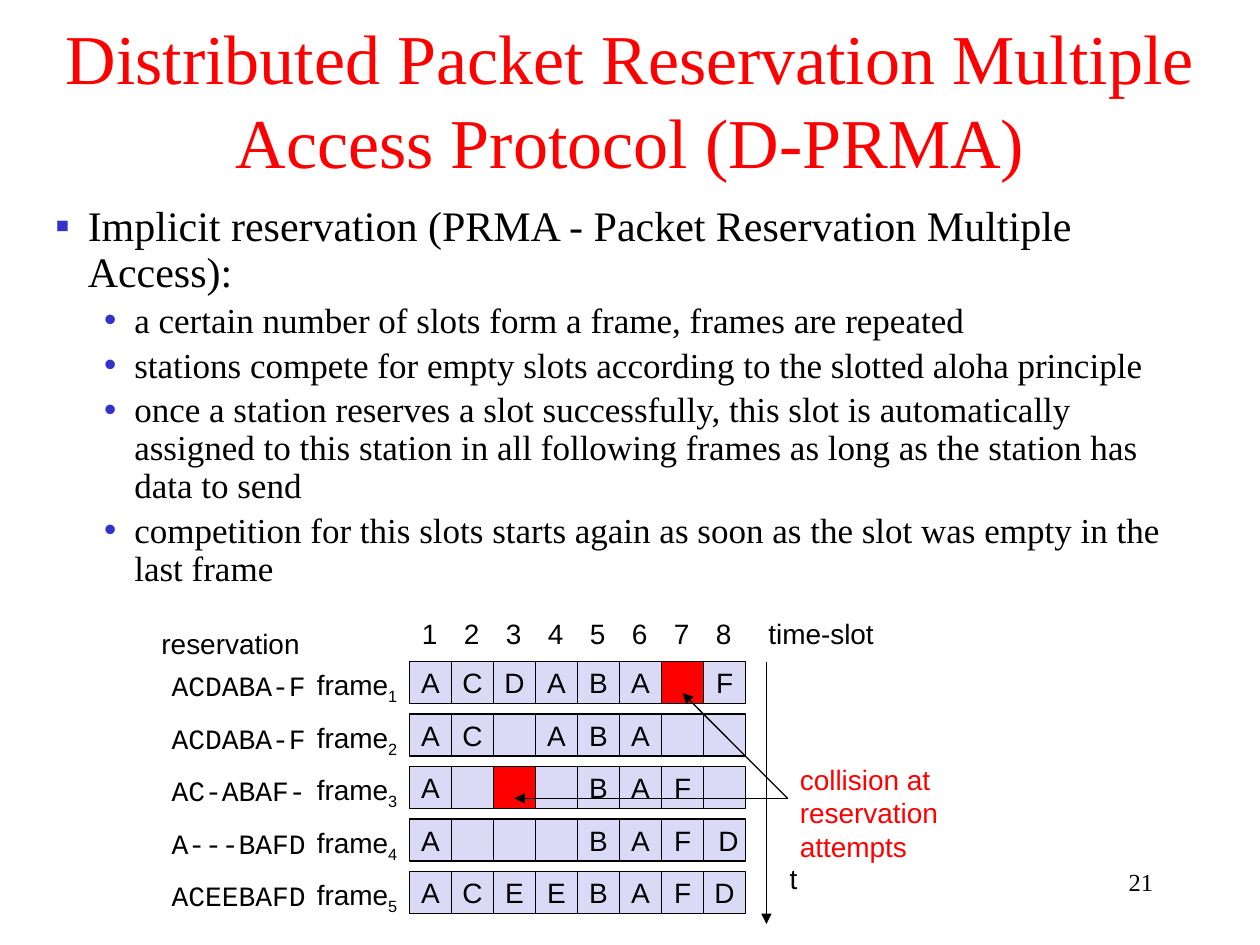
from lxml import etree
from pptx import Presentation
from pptx.dml.color import RGBColor
from pptx.enum.shapes import MSO_CONNECTOR, MSO_SHAPE
from pptx.enum.text import MSO_ANCHOR as ANCHOR, PP_ALIGN as ALIGN
from pptx.oxml.ns import qn
from pptx.util import Pt

BLACK = RGBColor(0x00, 0x00, 0x00)
RED = RGBColor(0xFF, 0x00, 0x00)
LAVENDER = RGBColor(0xDA, 0xDA, 0xF6)
BULLET_BLUE = RGBColor(0x33, 0x33, 0xCC)
SERIF, SANS, MONO = "Times New Roman", "Arial", "Courier New"

SLOT = 24
GRID_LEFT, GRID_TOP, ROW_PITCH = 234, 378, 30
FRAMES = [  # reservation, then the slots; * is a collision
    ("ACDABA-F", "A,C,D,A,B,A,*,F"),
    ("ACDABA-F", "A,C,,A,B,A,,"),
    ("AC-ABAF-", "A,,*,,B,A,F,"),
    ("A---BAFD", "A,,,,B,A,F, D"),
    ("ACEEBAFD", "A,C,E,E,B,A,F,D"),
]
BULLETS = [
    (0, "Implicit reservation (PRMA - Packet Reservation Multiple Access):"),
    (1, "a certain number of slots form a frame, frames are repeated"),
    (1, "stations compete for empty slots according to the slotted aloha principle"),
    (1, "once a station reserves a slot successfully, this slot is automatically "
        "assigned to this station in all following frames as long as the station "
        "has data to send"),
    (1, "competition for this slots starts again as soon as the slot was empty in "
        "the last frame"),
]
LEVELS = [("▪", 24, 18.6, -18.6), ("•", 20, 45.2, -17.2)]  # mark, size, margin, indent


def add_text(text, box=None, sp=None, size=16, font=SANS, color=BLACK,
             align=ALIGN.LEFT, anchor=ANCHOR.TOP, wrap=False, sub=""):
    """Write text into sp, or into a new text box at box; sub is a subscript."""
    sp = sp or s.shapes.add_textbox(*map(Pt, box))
    tf = sp.text_frame
    tf.word_wrap, tf.vertical_anchor = wrap, anchor
    p = tf.paragraphs[0]
    p.text, p.alignment = text, align
    if sub:
        r = p.add_run()
        r.text = sub
        r.font._element.set("baseline", "-25000")
    for r in p.runs:
        r.font.size, r.font.name = Pt(size), font
        r.font.color.rgb = color
    return sp


def add_arrow(x1, y1, x2, y2):
    line = s.shapes.add_connector(MSO_CONNECTOR.STRAIGHT, *map(Pt, (x1, y1, x2, y2)))
    line.line.color.rgb, line.line.width = BLACK, Pt(0.75)
    etree.SubElement(line.line._get_or_add_ln(), qn("a:tailEnd"), type="triangle")
    etree.SubElement(line._element.spPr, qn("a:effectLst"))


prs = Presentation()
prs.slide_width, prs.slide_height = Pt(720), Pt(540)
s = prs.slides.add_slide(prs.slide_layouts[6])

add_text("21", (516, 492, 150, 36), size=14, font=SERIF, align=ALIGN.RIGHT, wrap=True)
add_text("Distributed Packet Reservation Multiple Access Protocol (D-PRMA)",
         (0, 13, 720, 95), size=40, font=SERIF, color=RED, align=ALIGN.CENTER,
         anchor=ANCHOR.BOTTOM, wrap=True)

# Bullet list
body = s.shapes.add_textbox(Pt(24.5), Pt(113.8), Pt(664.5), Pt(231))
tf = body.text_frame
tf.word_wrap = True
for i, (level, text) in enumerate(BULLETS):
    mark, size, margin, indent = LEVELS[level]
    p = tf.add_paragraph() if i else tf.paragraphs[0]
    p.level, p.line_spacing, p.space_before = level, 0.9, Pt(size * 0.2)
    r = p.add_run()
    r.text = text
    r.font.size, r.font.name, r.font.color.rgb = Pt(size), SERIF, BLACK
    pPr = p._p.get_or_add_pPr()
    pPr.set("marL", str(Pt(margin)))
    pPr.set("indent", str(Pt(indent)))
    bullet_color = etree.SubElement(pPr, qn("a:buClr"))
    etree.SubElement(bullet_color, qn("a:srgbClr"), val=str(BULLET_BLUE))
    etree.SubElement(pPr, qn("a:buFont"), typeface=SANS)
    etree.SubElement(pPr, qn("a:buChar"), char=mark)

# Column headings
for col in range(8):
    add_text(str(col + 1), (GRID_LEFT + col * SLOT, 348.5, 23, 26))
add_text("time-slot", (432, 348.5, 75, 26))
add_text("reservation", (85, 354.5, 93.5, 26.5), align=ALIGN.CENTER, anchor=ANCHOR.MIDDLE)

# Frames
for row, (reservation, slots) in enumerate(FRAMES):
    top = GRID_TOP + row * ROW_PITCH
    add_text(reservation, (90.7, top + 0.5, 91.5, 26.5), font=MONO,
             align=ALIGN.CENTER, anchor=ANCHOR.MIDDLE)
    add_text("frame", (174, top, 61, 26), sub=str(row + 1))
    for col, station in enumerate(slots.split(",")):
        cell = s.shapes.add_shape(MSO_SHAPE.RECTANGLE, Pt(GRID_LEFT + col * SLOT),
                                  Pt(top), Pt(SLOT), Pt(SLOT))
        cell.shadow.inherit = False
        cell.fill.solid()
        cell.fill.fore_color.rgb = RED if station == "*" else LAVENDER
        cell.line.color.rgb, cell.line.width = BLACK, Pt(0.75)
        if station not in ("", "*"):
            add_text(station, sp=cell, align=ALIGN.CENTER, anchor=ANCHOR.MIDDLE)

# Collision callout and time axis
add_text("collision at \vreservation \vattempts", (450, 432, 98, 65), color=RED)
add_arrow(450, 456.2, 390, 396)
add_arrow(450, 456.2, 294, 456.2)
add_arrow(438, GRID_TOP, 438, 528)
add_text("t", (444, 488.5, 19, 26.5), align=ALIGN.CENTER, anchor=ANCHOR.MIDDLE)

prs.save("out.pptx")
